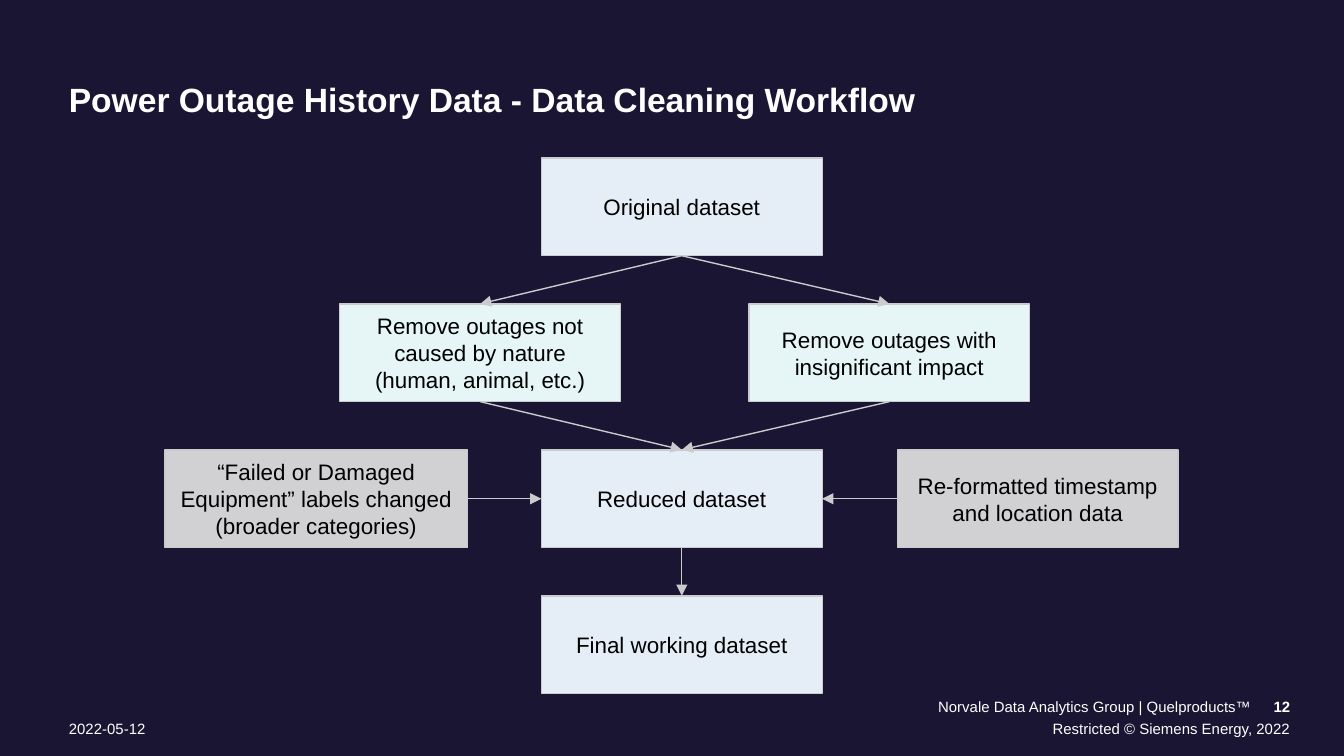
"""Build the data cleaning workflow slide."""
from lxml.etree import SubElement
from pptx import Presentation
from pptx.dml.color import RGBColor
from pptx.enum.shapes import MSO_CONNECTOR, MSO_SHAPE
from pptx.enum.text import MSO_ANCHOR, PP_ALIGN
from pptx.oxml.ns import qn
from pptx.util import Pt

NAVY = RGBColor(0x1B, 0x15, 0x34)
WHITE = RGBColor(0xFF, 0xFF, 0xFF)
BLACK = RGBColor(0x00, 0x00, 0x00)
BLUE = RGBColor(0xE5, 0xEE, 0xF6)
MINT = RGBColor(0xE6, 0xF6, 0xF6)
GRAY = RGBColor(0xE5, 0xE5, 0xE5)
LINE = RGBColor(0xCB, 0xCB, 0xCD)

TOP, BOTTOM, LEFT, RIGHT = 0, 2, 1, 3
ROW_TOP, ROW_STEP = 84.6, 78.2
BOX_WIDTH, BOX_HEIGHT, BOX_INSET = 150.5, 52.4, 7.2
GRAY_OPACITY = 90

# text, (left, top, width, height), insets, anchor, alignment, size, bold
LABELS = [
    ("Power Outage History Data - Data Cleaning Workflow", (0, 0, 570, 83.5),
     (36.9, 22.3, 0, 0), MSO_ANCHOR.MIDDLE, PP_ALIGN.LEFT, 18, True),
    ("Norvale Data Analytics Group | Quelproducts™", (368.6, 364, 351.4, 21.5),
     (0, 0, 49.6, 2.2), MSO_ANCHOR.BOTTOM, PP_ALIGN.RIGHT, 8, False),
    ("12", (671, 364, 49, 21.5),
     (0, 0, 28.8, 2.2), MSO_ANCHOR.BOTTOM, PP_ALIGN.RIGHT, 8, True),
    ("Restricted © Siemens Energy, 2022", (368.6, 385.5, 351.4, 19.5),
     (36.9, 0, 28.8, 0), MSO_ANCHOR.TOP, PP_ALIGN.RIGHT, 8, False),
    ("2022-05-12", (0, 385.5, 100, 19.5),
     (36.9, 0, 0, 0), MSO_ANCHOR.TOP, PP_ALIGN.LEFT, 8, False),
]

# name: text, row, left, width, fill
STEPS = {
    "original": ("Original dataset", 0, 290, BOX_WIDTH, BLUE),
    "nature": ("Remove outages not caused by nature (human, animal, etc.)",
               1, 182, BOX_WIDTH, MINT),
    "impact": ("Remove outages with insignificant impact", 1, 401.2, BOX_WIDTH, MINT),
    "labels": ("“Failed or Damaged Equipment” labels changed (broader categories)",
               2, 88.4, 162, GRAY),
    "reduced": ("Reduced dataset", 2, 290, BOX_WIDTH, BLUE),
    "formats": ("Re-formatted timestamp and location data", 2, 480.7, BOX_WIDTH, GRAY),
    "final": ("Final working dataset", 3, 290, BOX_WIDTH, BLUE),
}

ARROWS = [
    ("original", BOTTOM, "nature", TOP),
    ("original", BOTTOM, "impact", TOP),
    ("nature", BOTTOM, "reduced", TOP),
    ("impact", BOTTOM, "reduced", TOP),
    ("labels", RIGHT, "reduced", LEFT),
    ("formats", LEFT, "reduced", RIGHT),
    ("reduced", BOTTOM, "final", TOP),
]


def write_text(shape, text, insets, anchor, alignment, size, color, bold=False):
    frame = shape.text_frame
    frame.word_wrap = True
    frame.vertical_anchor = anchor
    (frame.margin_left, frame.margin_top,
     frame.margin_right, frame.margin_bottom) = map(Pt, insets)
    paragraph = frame.paragraphs[0]
    paragraph.text = text
    paragraph.alignment = alignment
    font = paragraph.font
    font.name, font.size, font.bold = "Arial", Pt(size), bold
    font.color.rgb = color


def add_step(slide, text, row, left, width, fill):
    shape = slide.shapes.add_shape(
        MSO_SHAPE.RECTANGLE, Pt(left), Pt(ROW_TOP + row * ROW_STEP),
        Pt(width), Pt(BOX_HEIGHT))
    shape.shadow.inherit = False
    shape.fill.solid()
    shape.fill.fore_color.rgb = fill
    if fill == GRAY:
        color = shape.fill._xPr.find(qn("a:solidFill"))[0]
        SubElement(color, qn("a:alpha"), val=str(GRAY_OPACITY * 1000))
    shape.line.color.rgb = LINE
    shape.line.width = Pt(0.75)
    write_text(shape, text, [BOX_INSET] * 4, MSO_ANCHOR.MIDDLE,
               PP_ALIGN.CENTER, 12, BLACK)
    return shape


def add_arrow(slide, source, source_side, target, target_side):
    connector = slide.shapes.add_connector(MSO_CONNECTOR.STRAIGHT, 0, 0, 0, 0)
    connector.begin_connect(source, source_side)
    connector.end_connect(target, target_side)
    connector.line.color.rgb = LINE
    connector.line.width = Pt(0.75)
    SubElement(connector.line._get_or_add_ln(), qn("a:tailEnd"), type="triangle")
    SubElement(connector._element.spPr, qn("a:effectLst"))


def main():
    presentation = Presentation()
    presentation.slide_width, presentation.slide_height = Pt(720), Pt(405)
    slide = presentation.slides.add_slide(presentation.slide_layouts[6])
    slide.background.fill.solid()
    slide.background.fill.fore_color.rgb = NAVY

    for text, box, insets, anchor, alignment, size, bold in LABELS:
        label = slide.shapes.add_textbox(*map(Pt, box))
        write_text(label, text, insets, anchor, alignment, size, WHITE, bold)

    steps = {name: add_step(slide, *step) for name, step in STEPS.items()}
    for source, source_side, target, target_side in ARROWS:
        add_arrow(slide, steps[source], source_side, steps[target], target_side)

    presentation.save("out.pptx")


if __name__ == "__main__":
    main()
